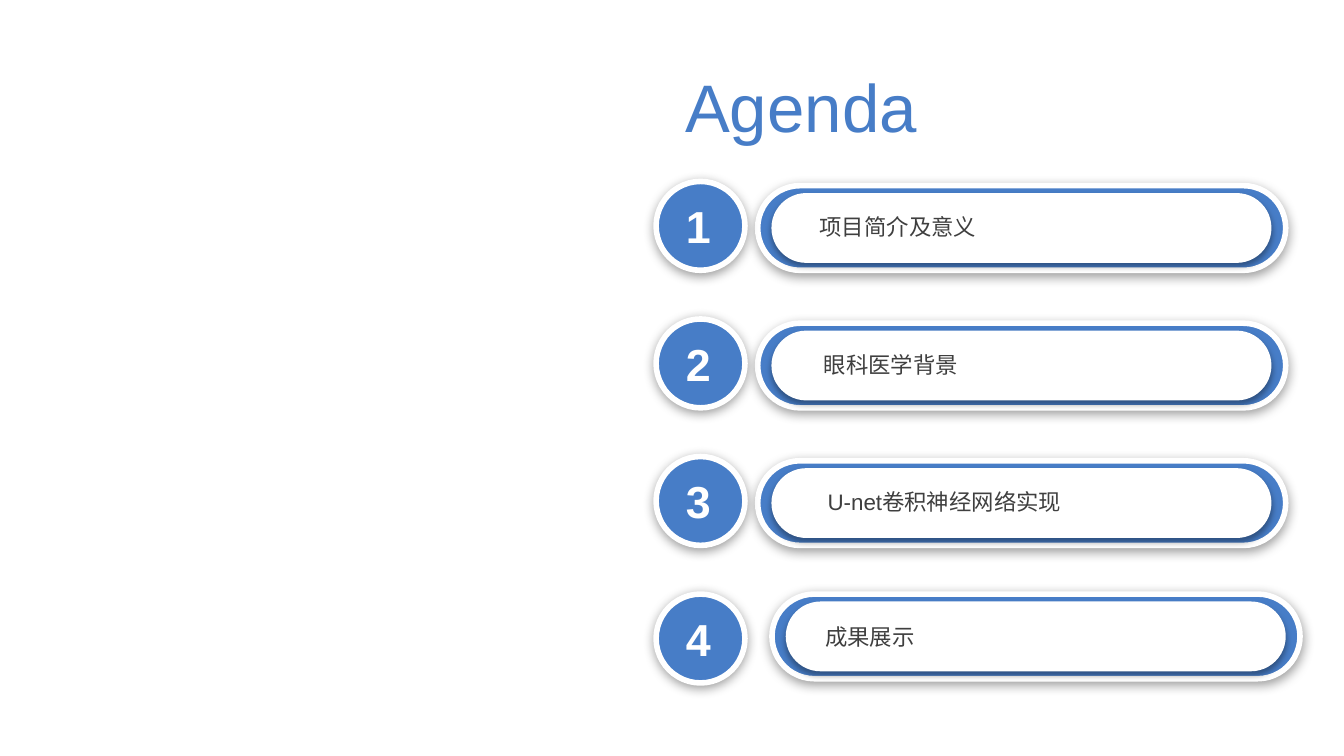
from pptx import Presentation
from pptx.dml.color import RGBColor
from pptx.enum.shapes import MSO_SHAPE
from pptx.enum.text import MSO_ANCHOR, MSO_AUTO_SIZE, PP_ALIGN
from pptx.oxml import parse_xml
from pptx.oxml.ns import nsdecls, qn
from pptx.util import Cm, Pt

PILL, CIRCLE = MSO_SHAPE.ROUNDED_RECTANGLE, MSO_SHAPE.OVAL
LEFT, CENTER = PP_ALIGN.LEFT, PP_ALIGN.CENTER
TOP, MIDDLE = MSO_ANCHOR.TOP, MSO_ANCHOR.MIDDLE
NO_FIT = MSO_AUTO_SIZE.NONE

BLUE, WHITE, GREY = "477DC7", "FFFFFF", "3F3F3F"
TITLE_FONT = {"name": "Arial", "size": Pt(36), "bold": False}
LABEL_FONT = {"name": "Arial", "size": Pt(12), "bold": False}
NUMBER_FONT = {"name": "Arial", "size": Pt(24), "bold": True}

# Shadow: opacity in percent, blur and distance in points
OUTER_SHADOW = (38, 6, 1.6)
INNER_SHADOW = (35, 3.1, 1.8)

# Text, left edge of the bar, left edge of the label (None: text inside the bar)
ITEMS = [
    ("项目简介及意义", 14.32, 15.24),
    ("眼科医学背景", 14.32, 15.32),
    ("U-net卷积神经网络实现", 14.32, 15.39),
    ("成果展示", 14.59, None),
]
BADGE_LEFT, FIRST_TOP, ROW_STEP = 12.4, 3.43, 2.6


def color(hex_value):
    return RGBColor.from_string(hex_value)


def lengths(*values):
    return [Cm(value) for value in values]


def write(shape, text, font, hex_value, align=LEFT, anchor=MIDDLE):
    frame = shape.text_frame
    frame.word_wrap = True
    frame.auto_size = NO_FIT
    frame.vertical_anchor = anchor
    para = frame.paragraphs[0]
    para.alignment = align
    span = para.add_run()
    span.text = text
    for name, value in font.items():
        setattr(span.font, name, value)
    span.font.color.rgb = color(hex_value)
    return frame


def add_shadow(shape, opacity, blur, distance):
    shape.shadow.inherit = False
    effects = shape._element.spPr.find(qn("a:effectLst"))
    effects.append(parse_xml(
        f'<a:outerShdw {nsdecls("a")} blurRad="{Pt(blur)}" dist="{Pt(distance)}" '
        f'dir="5400000" algn="t" rotWithShape="0"><a:srgbClr val="000000">'
        f'<a:alpha val="{opacity * 1000}"/></a:srgbClr></a:outerShdw>'))


def add_panel(group, kind, box, fill, shadow, outlined=False):
    panel = group.shapes.add_shape(kind, *lengths(*box))
    if kind == PILL:
        panel.adjustments[0] = 0.5
    panel.fill.solid()
    panel.fill.fore_color.rgb = color(fill)
    if outlined:
        panel.line.color.rgb = color(WHITE)
        panel.line.width = Pt(3)
    else:
        panel.line.fill.background()
    add_shadow(panel, *shadow)
    return panel


def add_title(page, box):
    title = page.shapes.title
    title.left, title.top, title.width, title.height = lengths(*box)
    frame = write(title, "Agenda", TITLE_FONT, BLUE)
    frame.margin_left = Cm(1.67)
    frame.margin_top = frame.margin_bottom = Cm(0.25)


def add_bar(page, left, top):
    group = page.shapes.add_group_shape()
    add_panel(group, PILL, (left, top, 9.98, 1.6), BLUE, OUTER_SHADOW, True)
    return add_panel(group, PILL, (left + 0.26, top + 0.14, 9.45, 1.32),
                     WHITE, INNER_SHADOW)


def add_badge(page, left, top, number):
    group = page.shapes.add_group_shape()
    add_panel(group, CIRCLE, (left, top, 1.68, 1.68), BLUE, OUTER_SHADOW, True)
    box = group.shapes.add_textbox(*lengths(left + 0.23, top + 0.2, 1.14, 1.27))
    write(box, str(number), NUMBER_FONT, WHITE, CENTER)


def add_item(page, top, number, text, bar_left, label_left):
    if label_left is None:
        bar = add_bar(page, bar_left, top)
        write(bar, text, LABEL_FONT, GREY).margin_left = Cm(0.55)
    else:
        add_bar(page, bar_left, top + 0.08)
        label = page.shapes.add_textbox(*lengths(label_left, top + 0.48, 7.95, 0.76))
        write(label, text, LABEL_FONT, GREY, anchor=TOP)
    add_badge(page, BADGE_LEFT, top, number)


def main():
    deck = Presentation()
    deck.slide_width, deck.slide_height = lengths(25.4, 14.29)
    page = deck.slides.add_slide(deck.slide_layouts[5])

    # Heading
    add_title(page, (11.28, 1.22, 8.18, 1.55))

    # Numbered agenda rows
    for index, item in enumerate(ITEMS):
        add_item(page, FIRST_TOP + index * ROW_STEP, index + 1, *item)

    deck.save("out.pptx")


if __name__ == "__main__":
    main()
